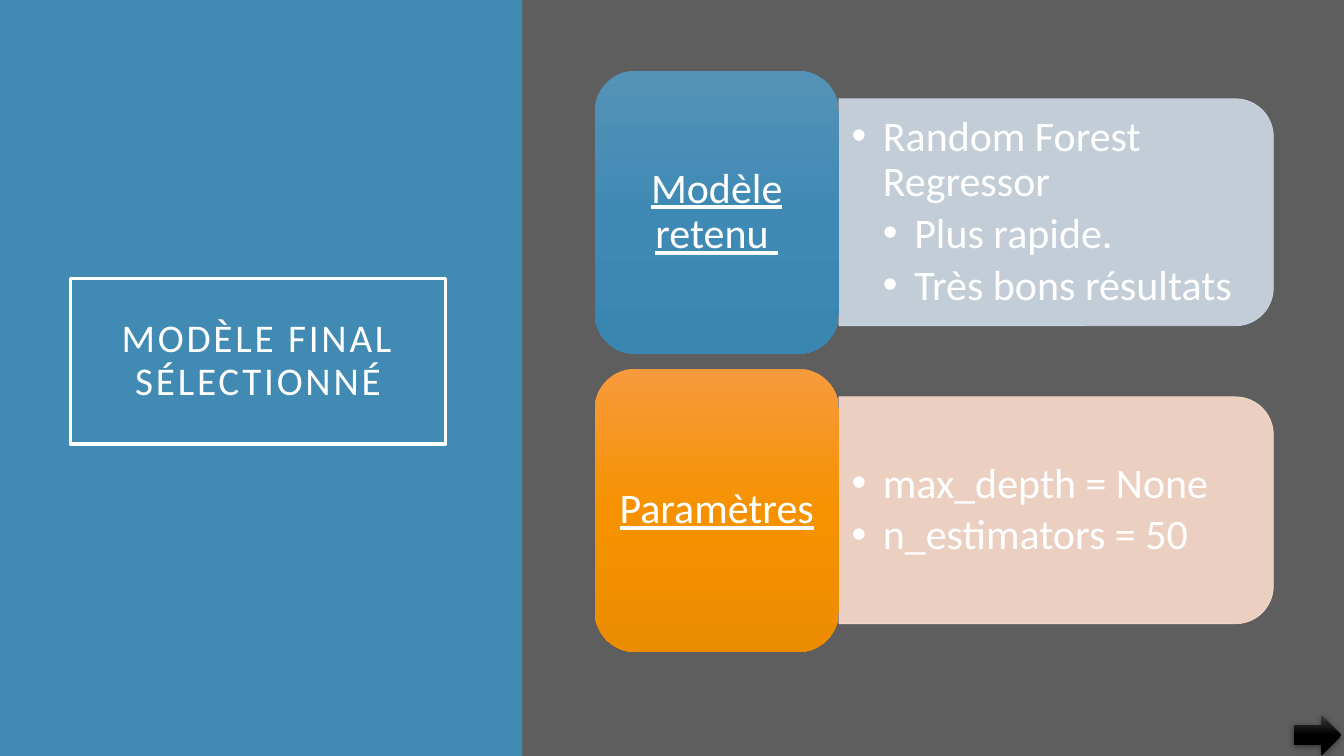
from lxml import etree
from pptx import Presentation
from pptx import util as u
from pptx.dml.color import RGBColor
from pptx.enum import shapes, text
from pptx.oxml.ns import qn

WHITE = RGBColor(0xFF, 0xFF, 0xFF)
BLACK = RGBColor(0x00, 0x00, 0x00)
GRAY = RGBColor(0x5E, 0x5E, 0x5E)
COAL = RGBColor(0x39, 0x39, 0x39)
BLUE = RGBColor(0x41, 0x8A, 0xB3)
ICE = RGBColor(0xCF, 0xDA, 0xE5)
PEACH = RGBColor(0xFB, 0xDC, 0xCC)
BLUES = [RGBColor(0x55, 0x92, 0xB7), RGBColor(0x3F, 0x8A, 0xB5), RGBColor(0x39, 0x86, 0xB1)]
AMBERS = [RGBColor(0xF7, 0x9A, 0x3D), RGBColor(0xF6, 0x92, 0x00), RGBColor(0xEC, 0x8C, 0x00)]

WIDE, HIGH = 33.87, 19.05
SPLIT = 13.16
KIND = shapes.MSO_SHAPE

ROWS = [
    ("Modèle retenu ", BLUES, ICE,
     [(0, "Random Forest Regressor"), (1, "Plus rapide."), (1, "Très bons résultats")]),
    ("Paramètres", AMBERS, PEACH,
     [(0, "max_depth = None"), (0, "n_estimators = 50")]),
]


def sub(node, tag, **attrs):
    return etree.SubElement(node, qn(tag), {k: str(v) for k, v in attrs.items()})


class Deck:
    font = "Calibri"

    def __init__(self):
        self.prs = Presentation()
        self.prs.slide_width, self.prs.slide_height = u.Cm(WIDE), u.Cm(HIGH)
        self.slide = self.prs.slides.add_slide(self.prs.slide_layouts[3])
        fill = self.slide.background.fill
        fill.solid()
        fill.fore_color.rgb = GRAY

    def shape(self, kind, box):
        item = self.slide.shapes.add_shape(kind, *map(u.Cm, box))
        item.shadow.inherit = False
        item.line.fill.background()
        return item

    def block(self, box, color):
        item = self.shape(KIND.RECTANGLE, box)
        item.fill.solid()
        item.fill.fore_color.rgb = color

    def blend(self, kind, box, colors):
        """Add a shape with an even gradient from top to bottom."""
        item = self.shape(kind, box)
        item.fill.gradient()
        item.fill.gradient_angle = 270
        stops = item._element.spPr.find(".//" + qn("a:gsLst"))
        stops.clear()
        for n, color in enumerate(colors):
            stop = sub(stops, "a:gs", pos=n * 100000 // (len(colors) - 1))
            sub(stop, "a:srgbClr", val=color)
        return item

    def hold(self, n, box):
        """Move a placeholder into the box and in front of the rest."""
        item = self.slide.placeholders[n]
        item.left, item.top, item.width, item.height = map(u.Cm, box)
        self.slide.shapes._spTree.append(item._element)
        return item

    def frame(self, item, side, edge):
        body = item.text_frame
        body.word_wrap = True
        body.auto_size = text.MSO_AUTO_SIZE.NONE
        body.vertical_anchor = text.MSO_ANCHOR.MIDDLE
        body.margin_left = body.margin_right = u.Cm(side)
        body.margin_top = body.margin_bottom = u.Cm(edge)
        return body

    def style(self, para, size, after=0, align=text.PP_ALIGN.CENTER):
        para.alignment = align
        para.line_spacing = 0.9
        para.space_before, para.space_after = u.Pt(0), u.Pt(after)
        for run in para.runs:
            run.font.name, run.font.size = self.font, u.Pt(size)
            run.font.color.rgb = WHITE

    def title(self, words, box):
        item = self.hold(0, box)
        item.line.color.rgb, item.line.width = WHITE, u.Pt(2.5)
        body = self.frame(item, 0.5, 0.5)
        body.text = words
        para = body.paragraphs[0]
        self.style(para, 28)
        para.runs[0].font._element.set("spc", "200")

    def label(self, words, box, colors):
        body = self.frame(self.blend(KIND.ROUNDED_RECTANGLE, box, colors), 0.2, 0.15)
        body.text = words
        para = body.paragraphs[0]
        self.style(para, 30)
        para.runs[0].font.underline = True

    def panel(self, box, color):
        """Add a clear panel whose right corners are round."""
        x, y, w, h = box
        turned = (x + (w - h) / 2, y + (h - w) / 2, h, w)
        item = self.shape(KIND.ROUND_2_SAME_RECTANGLE, turned)
        item.rotation = 90
        item.fill.solid()
        item.fill.fore_color.rgb = item.line.color.rgb = color
        item.line.width = u.Pt(0.5)
        for node in item._element.spPr.iter(qn("a:srgbClr")):
            sub(node, "a:alpha", val=90000)

    def bullets(self, n, lines, box):
        body = self.frame(self.hold(n, box), 0.32, 0.15)
        body.text = "\n".join(words for _, words in lines)
        for para, (level, _) in zip(body.paragraphs, lines):
            para.level = level
            self.style(para, 30, 4.5, text.PP_ALIGN.LEFT)
            props = para._p.get_or_add_pPr()
            step = u.Cm(0.79)
            props.set("marL", str(step * (level + 1)))
            props.set("indent", str(-step))
            sub(props, "a:buFont", typeface="Arial")
            sub(props, "a:buChar", char="•")

    def arrow(self, box):
        item = self.blend(KIND.RIGHT_ARROW, box, [COAL, BLACK, BLACK])
        glow = sub(item._element.spPr.find(qn("a:effectLst")), "a:outerShdw",
                   blurRad=u.Pt(4.4), dist=u.Pt(1.2), dir=5400000, rotWithShape=0)
        sub(sub(glow, "a:srgbClr", val=BLACK), "a:alpha", val=45000)


def main():
    deck = Deck()
    deck.block((0, 0, SPLIT, HIGH), BLUE)
    deck.block((13.2, 0, WIDE - 13.2, HIGH), GRAY)
    deck.title("MODÈLE FINAL SÉLECTIONNÉ", (1.78, 7.02, 9.45, 4.17))
    left, wide, high = 14.99, 6.15, 7.14
    for n, (name, colors, tint, lines) in enumerate(ROWS):
        top = 1.78 + 7.51 * n
        mid, edge = top + high / 2, left + wide
        deck.panel((edge, mid - 2.86, 10.95, 5.72), tint)
        deck.bullets(n + 1, lines, (edge, mid - 2.58, 10.67, 5.16))
        deck.label(name, (left, top, wide, high), colors)
    deck.arrow((32.61, 18.03, 1.19, 0.99))
    deck.prs.save("out.pptx")


if __name__ == "__main__":
    main()
